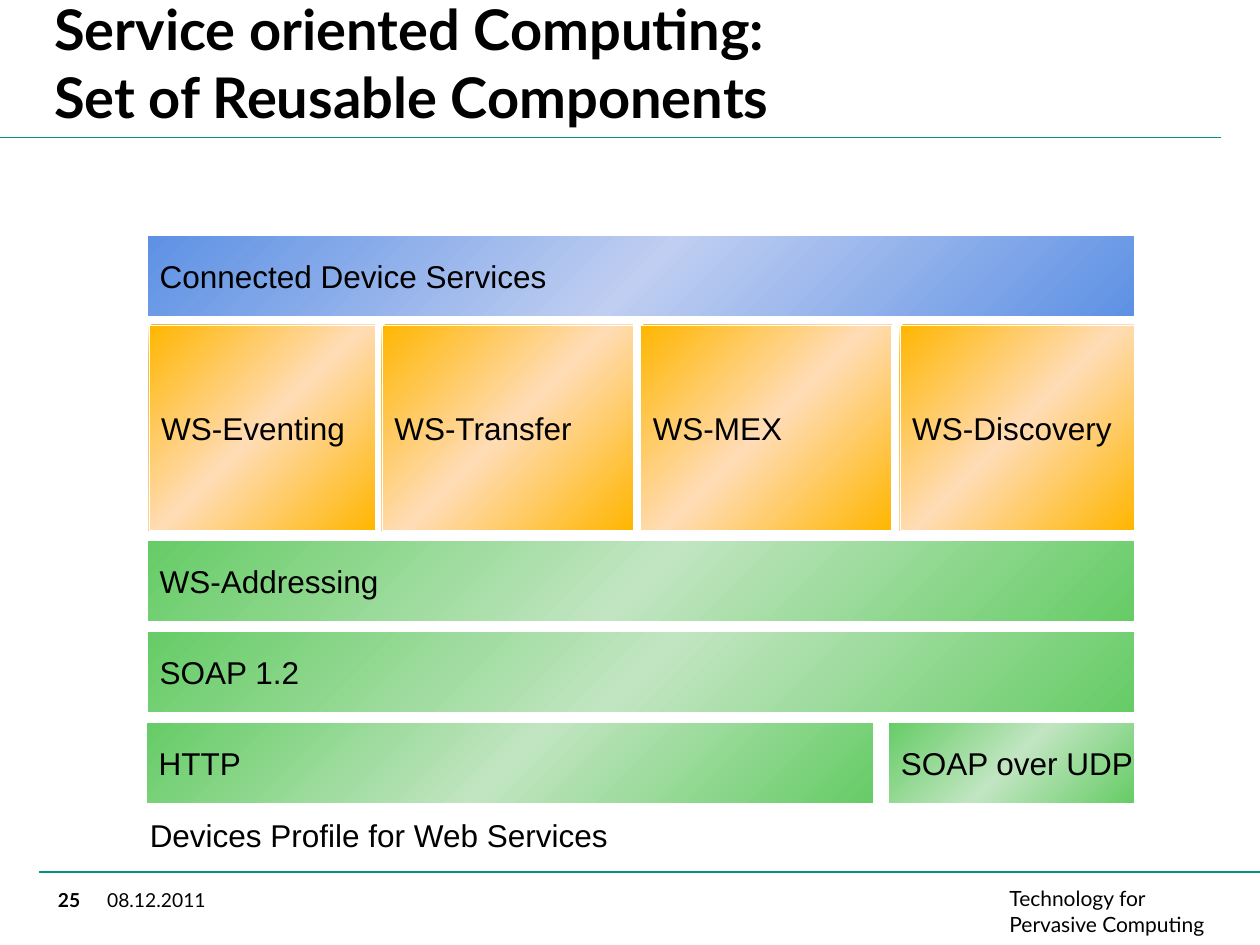
from dataclasses import dataclass

from lxml.etree import SubElement
from pptx import Presentation
from pptx.dml.color import RGBColor
from pptx.enum.shapes import MSO_CONNECTOR, MSO_SHAPE
from pptx.enum.text import MSO_ANCHOR, PP_ALIGN
from pptx.oxml.ns import qn
from pptx.slide import Slide
from pptx.text.text import TextFrame
from pptx.util import Cm, Pt

COLORS = {
    "text": "000000",
    "rule": "00937F",
    "border": "FFFFFF",
    "blue": "5E91E4",
    "blue_light": "BFCEF1",
    "green": "66CC66",
    "green_light": "C1E5C1",
    "orange": "FFB601",
    "orange_light": "FFDCB6",
}
RIGHT_EDGE = 22.86
ROW_HEIGHT = 1.63
ROW_STEP = 1.83
LOWER_TOP = 10.9
SERVICE_TOP = 6.55
SERVICE_HEIGHT = 4.14


@dataclass(frozen=True)
class Block:
    text: str
    left: float
    top: float
    color: str
    right: float = RIGHT_EDGE
    height: float = ROW_HEIGHT


@dataclass(frozen=True)
class Label:
    text: str
    left: float
    top: float
    width: float
    height: float
    size: int
    font: str = "Lato"
    bold: bool = False
    wrap: bool = True
    inset: bool = False
    anchor: MSO_ANCHOR = MSO_ANCHOR.TOP


@dataclass(frozen=True)
class Rule:
    left: float
    right: float
    top: float


BLOCKS = [
    Block("Connected Device Services", 2.97, 4.75, "blue"),
    Block("WS-Addressing", 2.97, LOWER_TOP, "green"),
    Block("SOAP 1.2", 2.97, LOWER_TOP + ROW_STEP, "green"),
    Block("HTTP", 2.95, LOWER_TOP + 2 * ROW_STEP, "green", 17.6),
    Block("SOAP over UDP", 17.91, LOWER_TOP + 2 * ROW_STEP, "green"),
] + [
    Block(text, left, SERVICE_TOP, "orange", right, SERVICE_HEIGHT)
    for text, left, right in [
        ("WS-Eventing", 3.0, 7.56),
        ("WS-Transfer", 7.7, 12.76),
        ("WS-MEX", 12.91, 17.97),
        ("WS-Discovery", 18.14, RIGHT_EDGE),
    ]
]

LABELS = [
    Label("Technology for Pervasive Computing", 20.35, 17.86, 4.04, 1.07, 12),
    Label("25", 1.17, 17.91, 0.91, 0.61, 11, bold=True),
    Label("08.12.2011", 2.16, 17.91, 2.39, 0.99, 11),
    Label("Service oriented Computing: \vSet of Reusable Components",
          1.09, 0.1, 23.32, 2.51, 32, bold=True, anchor=MSO_ANCHOR.BOTTOM),
    Label("Devices Profile for Web Services", 2.77, 16.33, 9.83, 1.02, 18,
          font="Arial", wrap=False, inset=True),
]

RULES = [Rule(0, 24.61, 2.77), Rule(0.79, 25.4, 17.58)]


def color_of(name: str) -> RGBColor:
    return RGBColor.from_string(COLORS[name])


def write_text(text_frame: TextFrame, text: str, size: int, font: str, bold: bool = False) -> None:
    text_frame.text = text
    paragraph = text_frame.paragraphs[0]
    paragraph.alignment = PP_ALIGN.LEFT
    for run in paragraph.runs:
        run.font.name = font
        run.font.size = Pt(size)
        run.font.bold = bold
        run.font.color.rgb = color_of("text")


def draw_block(slide: Slide, block: Block) -> None:
    shape = slide.shapes.add_shape(
        MSO_SHAPE.RECTANGLE, Cm(block.left), Cm(block.top),
        Cm(block.right - block.left), Cm(block.height))
    shape.shadow.inherit = False
    shape.fill.gradient()
    shape.fill.gradient_angle = 315
    stops = shape.fill._fill._gradFill.find(qn("a:gsLst"))
    for stop in list(stops):
        stops.remove(stop)
    for position, name in [(0, block.color), (50, f"{block.color}_light"), (100, block.color)]:
        stop = SubElement(stops, qn("a:gs"), pos=str(position * 1000))
        SubElement(stop, qn("a:srgbClr"), val=COLORS[name])
    shape.line.color.rgb = color_of("border")
    shape.line.width = Pt(0.25)
    text_frame = shape.text_frame
    text_frame.word_wrap = False
    text_frame.vertical_anchor = MSO_ANCHOR.MIDDLE
    write_text(text_frame, block.text, 18, "Arial")


def draw_label(slide: Slide, label: Label) -> None:
    text_box = slide.shapes.add_textbox(
        Cm(label.left), Cm(label.top), Cm(label.width), Cm(label.height))
    text_frame = text_box.text_frame
    text_frame.word_wrap = label.wrap
    text_frame.vertical_anchor = label.anchor
    if not label.inset:
        text_frame.margin_left = text_frame.margin_right = Cm(0)
        text_frame.margin_top = text_frame.margin_bottom = Cm(0)
    write_text(text_frame, label.text, label.size, label.font, label.bold)


def draw_rule(slide: Slide, rule: Rule) -> None:
    connector = slide.shapes.add_connector(
        MSO_CONNECTOR.STRAIGHT, Cm(rule.left), Cm(rule.top), Cm(rule.right), Cm(rule.top))
    connector.line.color.rgb = color_of("rule")
    connector.line.width = Pt(1)
    SubElement(connector._element.spPr, qn("a:effectLst"))


def main() -> None:
    presentation = Presentation()
    presentation.slide_width = Cm(25.4)
    presentation.slide_height = Cm(19.05)
    slide = presentation.slides.add_slide(presentation.slide_layouts[6])
    for rule in RULES:
        draw_rule(slide, rule)
    for block in BLOCKS:
        draw_block(slide, block)
    for label in LABELS:
        draw_label(slide, label)
    presentation.save("out.pptx")


if __name__ == "__main__":
    main()
